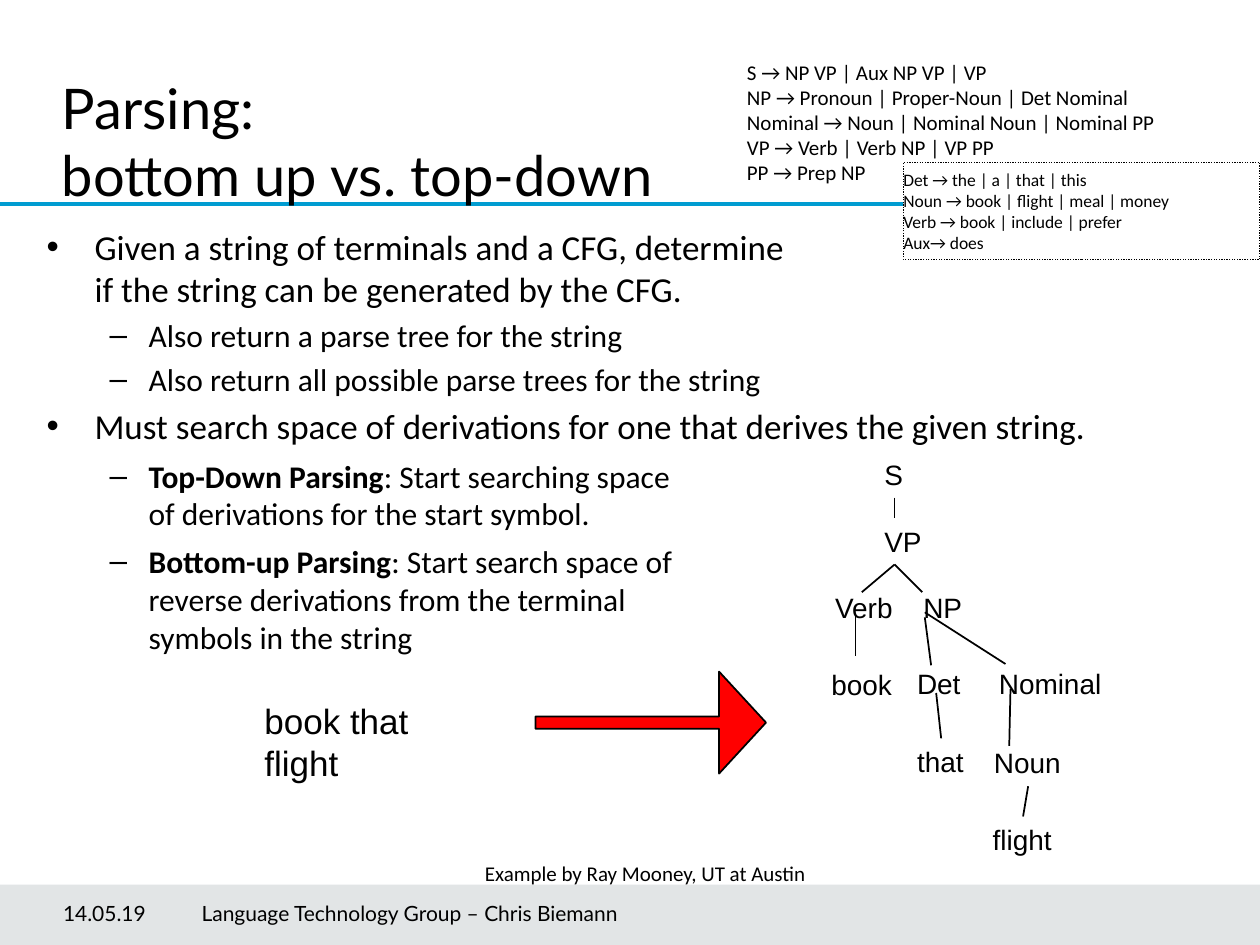
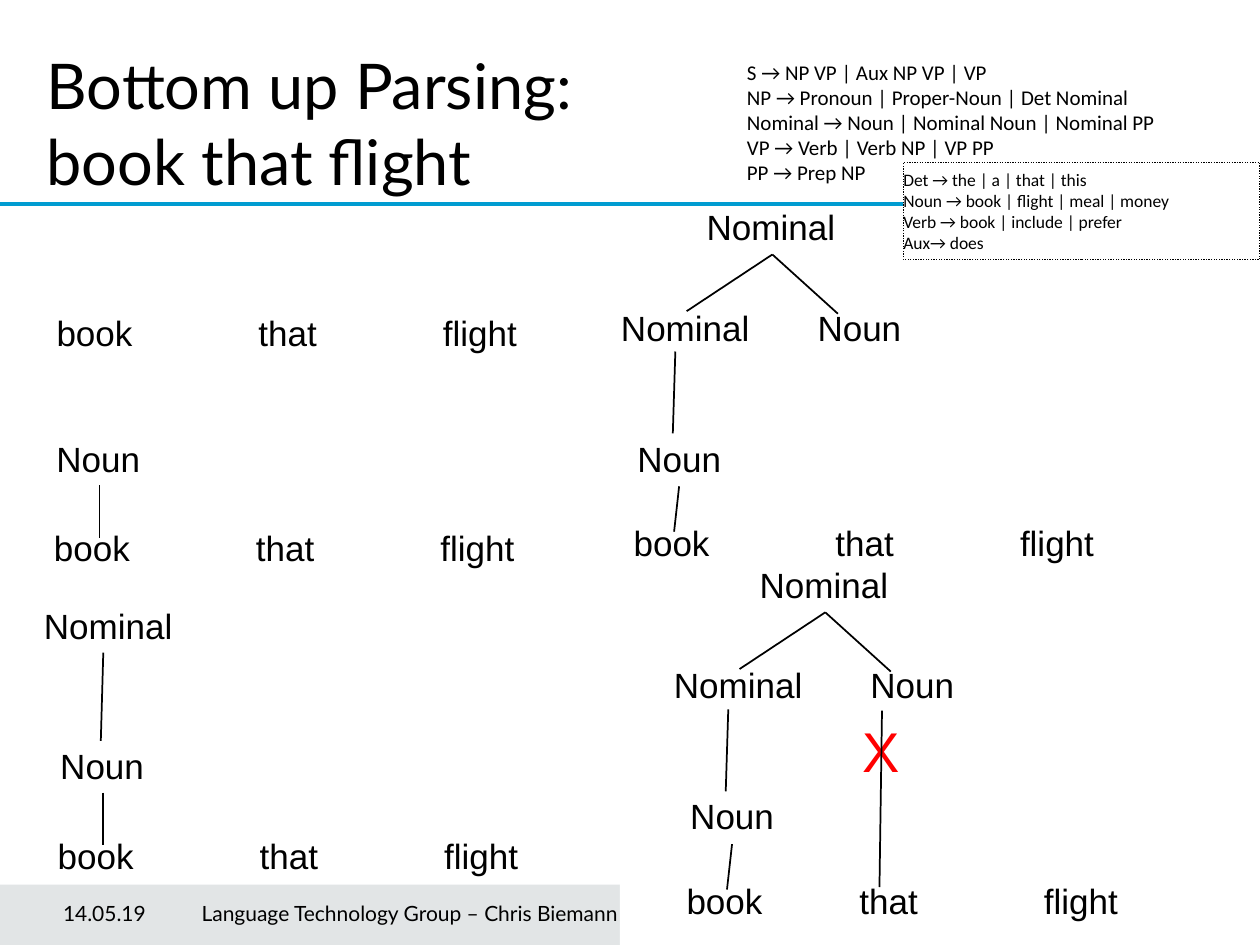
from lxml.etree import SubElement
from pptx import Presentation
from pptx.dml.color import RGBColor
from pptx.enum.dml import MSO_LINE
from pptx.enum.shapes import MSO_CONNECTOR, MSO_SHAPE
from pptx.enum.text import MSO_ANCHOR, MSO_AUTO_SIZE, PP_ALIGN
from pptx.oxml.ns import qn
from pptx.util import Inches, Pt

BLACK = RGBColor(0x00, 0x00, 0x00)
WHITE = RGBColor(0xFF, 0xFF, 0xFF)
RED = RGBColor(0xFF, 0x00, 0x00)
BLUE = RGBColor(0x00, 0x9C, 0xD1)
BAND_GREY = RGBColor(0xE2, 0xE5, 0xE6)

WORD_EMS = {
    "S": 0.67, "VP": 1.33, "NP": 1.39, "Verb": 2.11, "Det": 1.56, "Noun": 2.39,
    "Nominal": 3.67, "book": 2.17, "that": 1.67, "flight": 2.11, "X": 0.67,
    "book that flight": 6.5,
}
INSET = 0.1

GRAMMAR = [
    "S → NP VP | Aux NP VP | VP",
    "NP → Pronoun | Proper-Noun | Det Nominal",
    "Nominal → Noun | Nominal Noun | Nominal PP",
    "VP → Verb | Verb NP | VP PP",
    "PP → Prep NP",
]
LEXICON = [
    "Det → the | a | that | this",
    "Noun → book | flight | meal | money",
    "Verb → book | include | prefer",
    "Aux→ does",
]
BODY = [
    (0, [("Given a string of terminals and a CFG, determine\n"
          "if the string can be generated by the CFG.", False)]),
    (1, [("Also return a parse tree for the string", False)]),
    (1, [("Also return all possible parse trees for the string", False)]),
    (0, [("Must search space of derivations for one that derives the given string.", False)]),
    (1, [("Top-Down Parsing", True),
         (": Start searching space\nof derivations for the start symbol.", False)]),
    (1, [("Bottom-up Parsing", True),
         (": Start search space of\nreverse derivations from the terminal\n"
          "symbols in the string", False)]),
]
LEVELS = [(20, 0.38, -0.38, "•"), (18, 0.81, -0.31, "–")]

SENTENCE_TREE_WORDS = [
    ("S", 0.42, 0), ("VP", 0.42, 0.53), ("Verb", 0.03, 1.06), ("NP", 0.73, 1.06),
    ("book", 0, 1.67), ("Det", 0.68, 1.66), ("Nominal", 1.33, 1.66),
    ("that", 0.68, 2.28), ("Noun", 1.29, 2.29), ("flight", 1.28, 2.9),
]
SENTENCE_TREE_BRANCHES = [
    (0.6, 0.37, 0.6, 0.53), (0.29, 1.31, 0.29, 1.63), (0.6, 0.9, 0.34, 1.12),
    (0.6, 0.9, 0.82, 1.12), (0.84, 1.32, 0.89, 1.7), (0.84, 1.28, 1.48, 1.69),
    (0.93, 1.92, 0.97, 2.28), (1.52, 1.89, 1.51, 2.34), (1.66, 2.66, 1.62, 2.9),
]

NOUN_STEP = ([("Noun", 0.02, -0.71)], [(0.46, -0.28, 0.46, 0.14)])
NOMINAL_STEP = (
    NOUN_STEP[0] + [("Nominal", -0.11, -1.82)],
    NOUN_STEP[1] + [(0.46, -1.39, 0.44, -0.69)],
)
COMPOUND_STEP = (
    [("Noun", 0.03, -0.67), ("Nominal", -0.1, -1.71),
     ("Noun", 1.46, -1.71), ("Nominal", 0.58, -2.51)],
    [(0.46, -0.23, 0.42, 0.13), (0.43, -1.3, 0.41, -0.65),
     (1.2, -2.07, 0.52, -1.62), (1.2, -2.07, 1.72, -1.6)],
)
FAILED_STEP = (COMPOUND_STEP[0], COMPOUND_STEP[1] + [(1.65, -1.29, 1.63, 0.11)])


def add_span(para, text, font, size, color=BLACK, bold=False):
    """Append text to a paragraph, with line breaks at newlines."""
    for number, line in enumerate(text.split("\n")):
        if number:
            para.add_line_break()
        span = para.add_run()
        span.text = line
        span.font.name = font
        span.font.size = Pt(size)
        span.font.bold = bold
        span.font.color.rgb = color


def fill_lines(frame, lines, font, size, color=BLACK):
    """Write one left-aligned paragraph for each line."""
    for number, line in enumerate(lines):
        para = frame.add_paragraph() if number else frame.paragraphs[0]
        para.alignment = PP_ALIGN.LEFT
        add_span(para, line, font, size, color)


def add_text(holder, box, text, font, size, color=BLACK):
    """Add a one-line text box."""
    label = holder.shapes.add_textbox(*map(Inches, box))
    label.text_frame.word_wrap = False
    fill_lines(label.text_frame, [text], font, size, color)
    return label


def add_panel(page, box, fill, kind=MSO_SHAPE.RECTANGLE):
    """Add a filled shape without line or shadow."""
    panel = page.shapes.add_shape(kind, *map(Inches, box))
    panel.shadow.inherit = False
    panel.fill.solid()
    panel.fill.fore_color.rgb = fill
    panel.line.fill.background()
    return panel


def add_line(holder, ends, color=BLACK, width=1):
    """Add a straight line between two points."""
    line = holder.shapes.add_connector(MSO_CONNECTOR.STRAIGHT, *map(Inches, ends))
    line.line.color.rgb = color
    line.line.width = Pt(width)
    SubElement(line.element.spPr, qn("a:effectLst"))
    return line


def add_word(holder, text, left, top, size, color=BLACK):
    """Add an Arial word in a box that fits it."""
    width = WORD_EMS[text] * size / 72 + 2 * INSET
    height = 1.2 * size / 72 + INSET
    add_text(holder, (left, top, width, height), text, "Arial", size, color)


def add_tree(holder, left, top, words, branches, size):
    """Draw tree words and branches relative to a corner."""
    for text, x, y in words:
        add_word(holder, text, left + x, top + y, size)
    for x1, y1, x2, y2 in branches:
        add_line(holder, (left + x1, top + y1, left + x2, top + y2))


def add_parse_step(page, left, top, step=((), ()), first_gap=1.0, failed=False):
    """Draw the input words in a row with the tree found so far above them."""
    group = page.shapes.add_group_shape()
    x = left
    for text, gap in (("book", first_gap), ("that", 1.0), ("flight", 0)):
        add_word(group, text, x, top, 20)
        x += WORD_EMS[text] * 20 / 72 + gap
    if failed:
        add_word(group, "X", left + 1.4, top - 1.29, 32, RED)
    add_tree(group, left, top, *step, 20)


def add_master_furniture(deck, page):
    """Put the footer band and the title rule on the master."""
    band = add_panel(page, (0, 7.02, 10, 0.48), BAND_GREY)
    rule = add_line(page, (0, 1.62, 10, 1.62), BLUE, 2)
    for number, part in enumerate((band, rule)):
        part.element.xpath(".//p:cNvPr")[0].set("id", str(100 + number))
        deck.slide_master.shapes.element.insert(2 + number, part.element)


def set_title(page, left, top, text, size):
    """Place and fill the title."""
    title = page.shapes.title
    title.left, title.top, title.width, title.height = map(Inches, (left, top, 7.52, 0.92))
    frame = title.text_frame
    frame.auto_size = MSO_AUTO_SIZE.NONE
    frame.vertical_anchor = MSO_ANCHOR.TOP
    para = frame.paragraphs[0]
    para.alignment = PP_ALIGN.LEFT
    add_span(para, text, "Lato", size)


def set_body(page, box):
    """Fill the body with the two-level list."""
    body = page.placeholders[1]
    body.left, body.top, body.width, body.height = map(Inches, box)
    frame = body.text_frame
    frame.auto_size = MSO_AUTO_SIZE.NONE
    for number, (level, spans) in enumerate(BODY):
        para = frame.add_paragraph() if number else frame.paragraphs[0]
        size, margin, indent, bullet = LEVELS[level]
        para.level = level
        props = para._p.get_or_add_pPr()
        props.set("marL", str(Inches(margin)))
        props.set("indent", str(Inches(indent)))
        SubElement(props, qn("a:buChar")).set("char", bullet)
        for text, bold in spans:
            add_span(para, text, "Calibri", size, bold=bold)


def add_rules(page):
    """Add the grammar and the dotted lexicon box."""
    grammar = add_panel(page, (5.83, 0.42, 4, 1.11), WHITE)
    lexicon = add_panel(page, (7.17, 1.29, 2.83, 0.77), WHITE)
    lexicon.line.color.rgb = BLACK
    lexicon.line.width = Pt(0.75)
    lexicon.line.dash_style = MSO_LINE.ROUND_DOT
    lexicon.text_frame.margin_left = lexicon.text_frame.margin_right = 0
    for panel, lines, size in ((grammar, GRAMMAR, 12), (lexicon, LEXICON, 10)):
        panel.text_frame.word_wrap = True
        panel.text_frame.vertical_anchor = MSO_ANCHOR.TOP
        fill_lines(panel.text_frame, lines, "Calibri", size)


def add_footer(page):
    """Add the date and the group name."""
    for left, width, text in (
        (0.5, 0.99, "14.05.19"),
        (1.6, 4.92, "Language Technology Group – Chris Biemann"),
    ):
        footer = add_text(page, (left, 7.05, width, 0.4), text, "Lato", 12)
        footer.text_frame.word_wrap = True
        footer.text_frame.margin_left = 0
        footer.text_frame.vertical_anchor = MSO_ANCHOR.MIDDLE


def build_comparison(deck):
    """Build the slide that compares the two parsing directions."""
    page = deck.slides.add_slide(deck.slide_layouts[1])
    add_master_furniture(deck, page)
    set_title(page, 0.39, 0.53, "Parsing:\nbottom up vs. top-down", 32)
    set_body(page, (0.27, 1.74, 9.45, 5.24))
    tree = page.shapes.add_group_shape()
    add_tree(tree, 6.5, 3.58, SENTENCE_TREE_WORDS, SENTENCE_TREE_BRANCHES, 16)
    add_word(page, "book that flight", 2, 5.5, 20)
    arrow = add_panel(page, (4.25, 5.33, 1.83, 0.81), RED, MSO_SHAPE.RIGHT_ARROW)
    arrow.adjustments[0], arrow.adjustments[1] = 0.12, 0.46
    arrow.line.color.rgb = BLACK
    arrow.line.width = Pt(1)
    add_text(page, (3.75, 6.78, 3.07, 0.3), "Example by Ray Mooney, UT at Austin", "Calibri", 12)
    add_rules(page)
    add_footer(page)


def build_bottom_up(deck):
    """Build the slide with the bottom-up steps."""
    page = deck.slides.add_slide(deck.slide_layouts[5])
    set_title(page, 0.27, 0.32, "Bottom up Parsing:\nbook that flight", 36)
    add_panel(page, (4.92, 6.5, 5.08, 1), WHITE)
    add_rules(page)
    add_parse_step(page, 0.35, 2.42)
    add_parse_step(page, 0.33, 4.13, NOUN_STEP)
    add_parse_step(page, 0.36, 6.57, NOMINAL_STEP)
    add_parse_step(page, 4.93, 4.09, COMPOUND_STEP)
    add_parse_step(page, 5.35, 6.93, FAILED_STEP, first_gap=0.77, failed=True)
    add_footer(page)


def main():
    """Build and save the deck."""
    deck = Presentation()
    deck.slide_width, deck.slide_height = Inches(10), Inches(7.5)
    build_comparison(deck)
    build_bottom_up(deck)
    deck.save("out.pptx")


if __name__ == "__main__":
    main()
